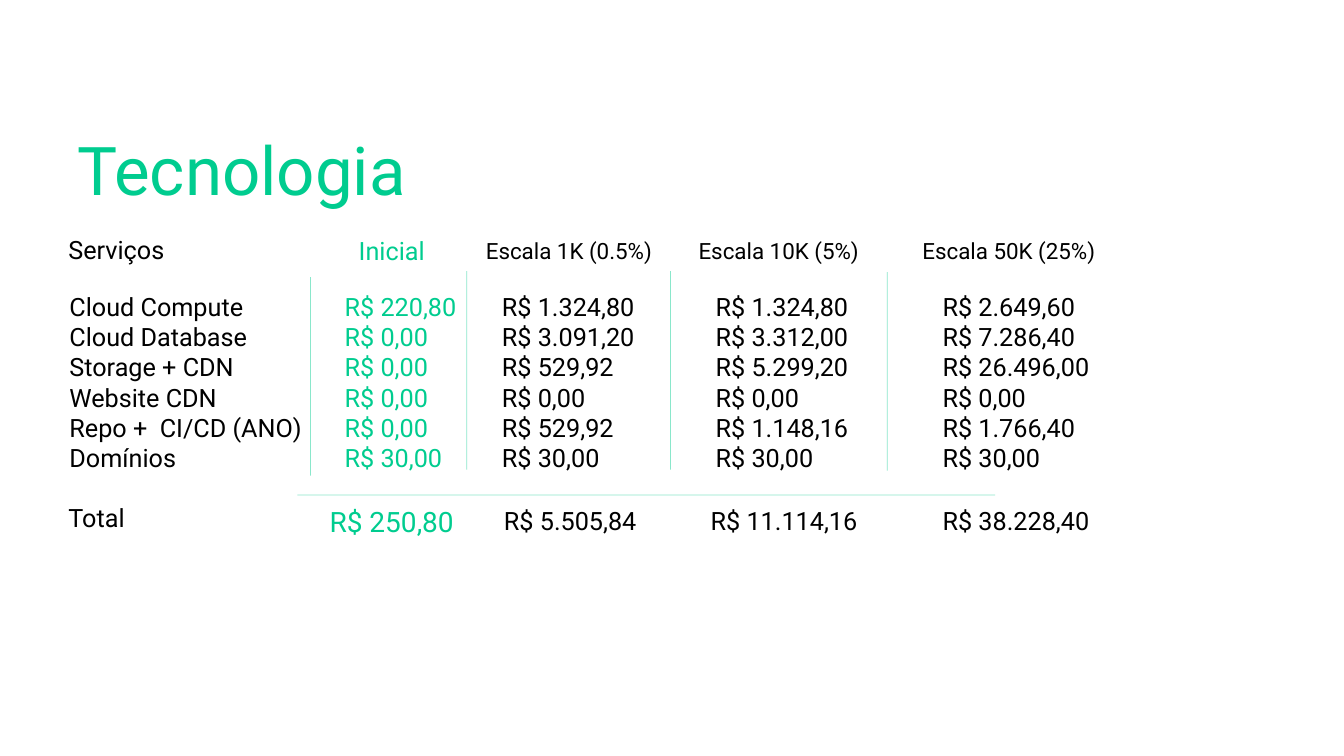
import pptx
import pptx.dml.color
import pptx.enum.shapes
import pptx.enum.text
import pptx.oxml.ns
import pptx.util
from lxml import etree
from pptx.util import Inches

GREEN = "00CC8F"
BLACK = "000000"

SERVICES = ["Cloud Compute", "Cloud Database", "Storage + CDN",
            "Website CDN", "Repo +  CI/CD (ANO)", "Domínios"]
INITIAL_COSTS = ["R$ 220,80"] + ["R$ 0,00"] * 4 + ["R$ 30,00"]
SCALE_COSTS = [
    ["R$ 1.324,80", "R$ 1.324,80", "R$ 2.649,60"],
    ["R$ 3.091,20", "R$ 3.312,00", "R$ 7.286,40"],
    ["R$ 529,92", "R$ 5.299,20", "R$ 26.496,00"],
    ["R$ 0,00"] * 3,
    ["R$ 529,92", "R$ 1.148,16", "R$ 1.766,40"],
    ["R$ 30,00"] * 3,
]
SCALE_HEADERS = ["Escala 1K (0.5%)", "Escala 10K (5%)", "Escala 50K (25%)"]


def colour(hex_value):
    return pptx.dml.color.RGBColor.from_string(hex_value)


def add_child(parent, tag, **attributes):
    child = etree.SubElement(parent, pptx.oxml.ns.qn(tag))
    for name, value in attributes.items():
        child.set(name, str(value))
    return child


def add_text(page, left, top, width, height, lines, size=18, color=BLACK, tabs=(), wrap=True):
    """Add one paragraph per line; tabs are stops in inches from the text's left edge."""
    box = page.shapes.add_textbox(Inches(left), Inches(top), Inches(width), Inches(height))
    frame = box.text_frame
    frame.word_wrap = wrap
    frame.auto_size = pptx.enum.text.MSO_AUTO_SIZE.SHAPE_TO_FIT_TEXT
    frame.text = "\n".join(lines)
    for para in frame.paragraphs:
        if tabs:
            tab_list = add_child(para._p.get_or_add_pPr(), "a:tabLst")
            for stop in tabs:
                add_child(tab_list, "a:tab", pos=Inches(stop), algn="l")
        para.font.name = "Roboto"
        para.font.size = pptx.util.Pt(size)
        para.font.color.rgb = colour(color)


def add_rule(page, x1, y1, x2, y2):
    """Add a thin, partly transparent green line."""
    rule = page.shapes.add_connector(pptx.enum.shapes.MSO_CONNECTOR.STRAIGHT,
                                     Inches(x1), Inches(y1), Inches(x2), Inches(y2))
    rule.line.width = pptx.util.Pt(0.5)
    rule.line.color.rgb = colour(GREEN)
    fill_color = rule._element.spPr.find(".//" + pptx.oxml.ns.qn("a:srgbClr"))
    add_child(fill_color, "a:alpha", val=46000)
    add_child(rule._element.spPr, "a:effectLst")


def add_headers(page):
    add_text(page, 0.58, 2.28, 1.17, 0.4, ["Serviços"], wrap=False)
    add_text(page, 3.46, 2.29, 1.04, 0.4, ["Inicial"], color=GREEN)
    add_text(page, 4.72, 2.3, 6.61, 0.37, ["\t".join(SCALE_HEADERS)], size=16,
             tabs=(2.11, 4.33))


def add_costs(page):
    add_text(page, 0.59, 2.84, 2.85, 1.92, SERVICES)
    add_text(page, 3.32, 2.84, 1.4, 1.92, INITIAL_COSTS, color=GREEN)
    add_text(page, 4.88, 2.84, 6.46, 1.92, ["\t".join(row) for row in SCALE_COSTS],
             tabs=(2.12, 4.37))


def add_totals(page):
    add_text(page, 0.58, 4.93, 0.78, 0.4, ["Total"], wrap=False)
    add_text(page, 3.17, 4.96, 1.63, 0.44, ["R$ 250,80"], size=20, color=GREEN)
    for left, width, total in [(4.9, 1.87, "R$ 5.505,84"),
                               (6.95, 2.23, "R$ 11.114,16"),
                               (9.25, 2.09, "R$ 38.228,40")]:
        add_text(page, left, 4.96, width, 0.4, [total])


def main():
    deck = pptx.Presentation()
    deck.slide_width = Inches(13.33)
    deck.slide_height = Inches(7.5)
    page = deck.slides.add_slide(deck.slide_layouts[6])

    add_text(page, 0.67, 1.22, 3.6, 0.91, ["Tecnologia"], size=48, color=GREEN, wrap=False)
    add_headers(page)
    add_costs(page)
    for x, top in [(3.08, 2.75), (4.63, 2.69), (6.65, 2.69), (8.8, 2.7)]:
        add_rule(page, x, top, x, top + 1.97)
    add_rule(page, 2.95, 4.91, 9.87, 4.91)
    add_totals(page)

    deck.save("out.pptx")


if __name__ == "__main__":
    main()
